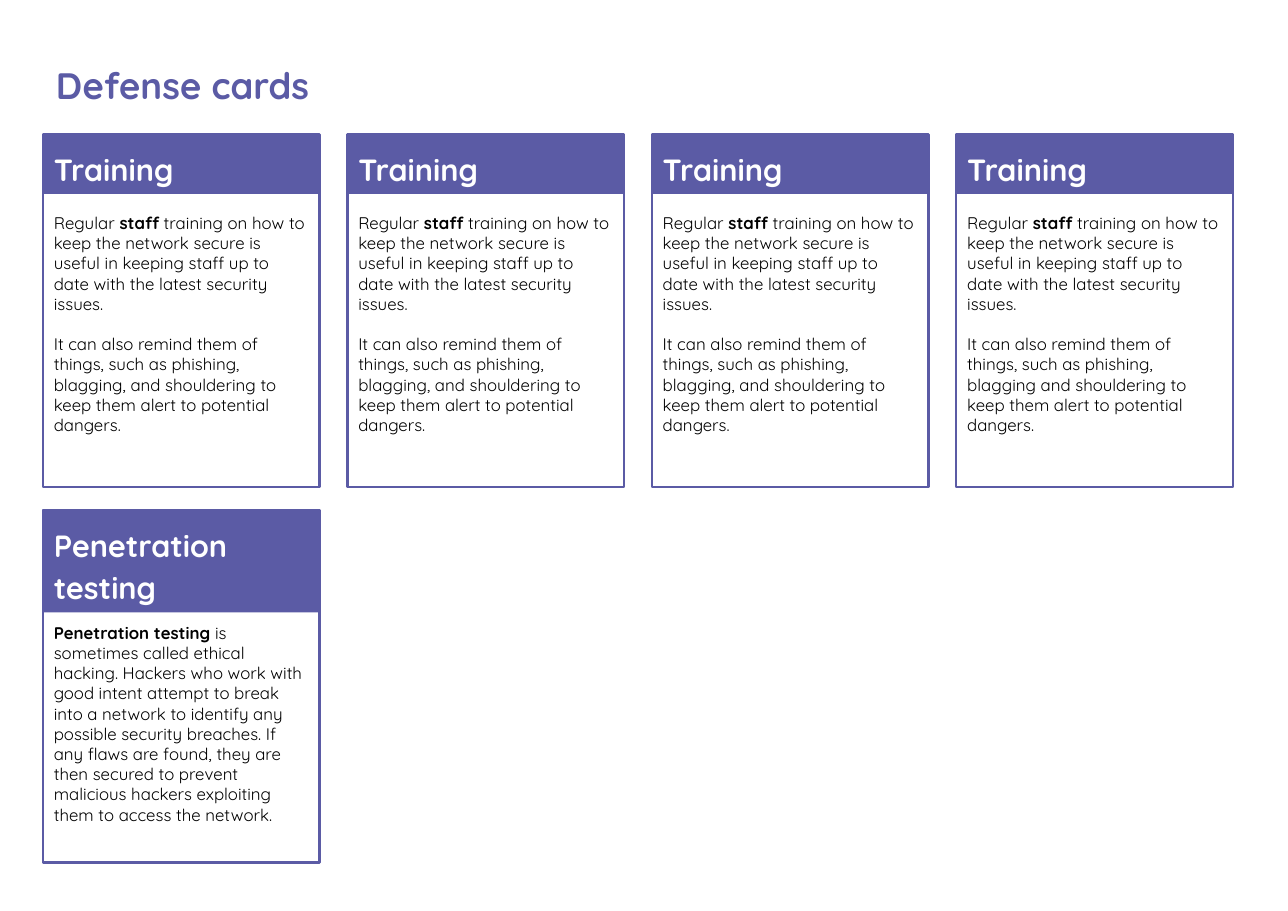
import pptx
import pptx.dml.color
import pptx.enum.shapes
import pptx.enum.text
import pptx.util

Inches = pptx.util.Inches
Pt = pptx.util.Pt

LEFT, RIGHT, COLUMNS = 0.39, 8.68, 4
CARD_W, CARD_H = 2.51, 3.2
ROW_1, ROW_2 = 1.22, 4.63

STAFF = [
    ("Regular ", False),
    ("staff", True),
    (" training on how to keep the network secure is useful in keeping "
     "staff up to date with the latest security issues.", False),
]
REMINDER = ("It can also remind them of things, such as phishing, {} and "
            "shouldering to keep them alert to potential dangers.")
TESTING = [
    ("Penetration testing", True),
    (" is sometimes called ethical hacking. Hackers who work with good intent "
     "attempt to break into a network to identify any possible security "
     "breaches. If any flaws are found, they are then secured to prevent "
     "malicious hackers exploiting them to access the network.", False),
]


def rgb(color):
    return pptx.dml.color.RGBColor.from_string(color)


class Deck:
    font = "Quicksand"
    purple = "5B5BA5"
    white = "FFFFFF"
    black = "000000"

    def __init__(self, s):
        self.s = s

    def frame(self, sp):
        tf = sp.text_frame
        tf.word_wrap = True
        tf.auto_size = pptx.enum.text.MSO_AUTO_SIZE.NONE
        tf.vertical_anchor = pptx.enum.text.MSO_ANCHOR.TOP
        tf.margin_left = tf.margin_right = Inches(0.1)
        tf.margin_top = tf.margin_bottom = Inches(0.1)
        return tf

    def style(self, r, size, color, bold):
        r.font.name = self.font
        r.font.size = Pt(size)
        r.font.bold = bold
        r.font.color.rgb = rgb(color)

    def box(self, x, y, w, h):
        return self.s.shapes.add_textbox(Inches(x), Inches(y), Inches(w), Inches(h))

    def rect(self, x, y, w, h):
        sp = self.s.shapes.add_shape(pptx.enum.shapes.MSO_SHAPE.RECTANGLE,
                                     Inches(x), Inches(y), Inches(w), Inches(h))
        sp.shadow.inherit = False
        return sp

    def heading(self, sp, text, size, color):
        tf = self.frame(sp)
        tf.text = text
        p = tf.paragraphs[0]
        p.alignment = pptx.enum.text.PP_ALIGN.LEFT
        p.line_spacing = 1.15
        p.space_after = Pt(6)
        for r in p.runs:
            self.style(r, size, color, True)

    def title(self, text):
        self.heading(self.box(0.41, 0.41, 3.28, 0.61), text, 24, self.purple)

    def outline(self, x, y):
        sp = self.rect(x, y, CARD_W, CARD_H)
        sp.fill.background()
        sp.line.color.rgb = rgb(self.purple)
        sp.line.width = Pt(1.5)

    def banner(self, x, y, h, text):
        sp = self.rect(x, y, CARD_W, h)
        sp.fill.solid()
        sp.fill.fore_color.rgb = rgb(self.purple)
        sp.line.fill.background()
        self.heading(sp, text, 20, self.white)

    def body(self, x, y, h, paragraphs):
        tf = self.frame(self.box(x, y, CARD_W, h))
        for i, parts in enumerate(paragraphs):
            p = tf.add_paragraph() if i else tf.paragraphs[0]
            if i:
                p.space_before = Pt(13.2)
            for text, bold in parts:
                r = p.add_run()
                r.text = text
                self.style(r, 11, self.black, bold)

    def card(self, x, y, name, banner_h, body_y, body_h, paragraphs):
        self.outline(x, y)
        self.banner(x, y, banner_h, name)
        self.body(x, body_y, body_h, paragraphs)


def main():
    prs = pptx.Presentation()
    prs.slide_width = Inches(11.69)
    prs.slide_height = Inches(8.27)
    deck = Deck(prs.slides.add_slide(prs.slide_layouts[6]))

    deck.title("Defense cards")
    step = (RIGHT - LEFT) / (COLUMNS - 1)
    for i in range(COLUMNS):
        word = "blagging" if i == COLUMNS - 1 else "blagging,"
        deck.card(LEFT + i * step, ROW_1, "Training", 0.54, 1.83, 2.24,
                  [STAFF, [(REMINDER.format(word), False)]])
    deck.card(LEFT, ROW_2, "Penetration\vtesting", 0.93, 5.55, 2.05, [TESTING])

    prs.save("out.pptx")


if __name__ == "__main__":
    main()
